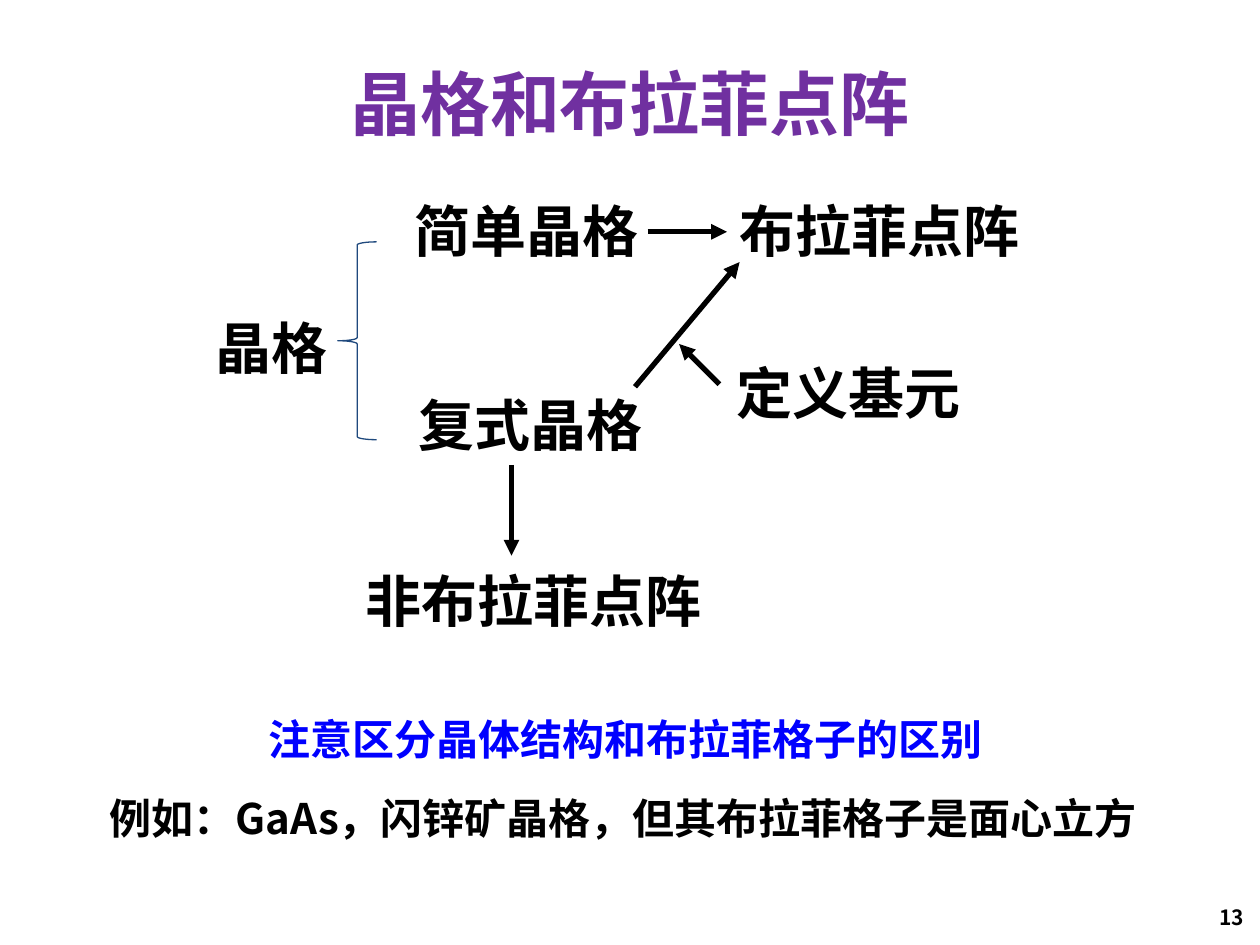
from dataclasses import dataclass

from lxml import etree
from pptx import Presentation
from pptx.dml.color import RGBColor
from pptx.enum.shapes import MSO_CONNECTOR, MSO_SHAPE
from pptx.enum.text import MSO_ANCHOR, PP_ALIGN
from pptx.oxml.ns import qn
from pptx.util import Inches, Pt

STRAIGHT = MSO_CONNECTOR.STRAIGHT
LEFT_BRACE = MSO_SHAPE.LEFT_BRACE
TOP, MIDDLE = MSO_ANCHOR.TOP, MSO_ANCHOR.MIDDLE
LEFT, CENTER, RIGHT = PP_ALIGN.LEFT, PP_ALIGN.CENTER, PP_ALIGN.RIGHT


@dataclass(frozen=True)
class Theme:
    font: str = "Noto Sans CJK SC"
    ink: RGBColor = RGBColor(0x00, 0x00, 0x00)
    heading: RGBColor = RGBColor(0x70, 0x30, 0xA0)
    emphasis: RGBColor = RGBColor(0x00, 0x00, 0xFF)
    brace: RGBColor = RGBColor(0x1F, 0x49, 0x7D)
    title_size: int = 40
    term_size: int = 32
    remark_size: int = 24
    number_size: int = 12
    arrow_width: float = 3
    brace_width: float = 0.75


THEME = Theme()

# Terms of the diagram: text, left, top, width
TERM_HEIGHT = 0.64
TERMS = [
    ("晶格", 1.61, 2.44, 1.1),
    ("简单晶格", 3.19, 1.51, 2),
    ("布拉菲点阵", 5.77, 1.51, 2.45),
    ("复式晶格", 3.22, 3.05, 2),
    ("非布拉菲点阵", 2.8, 4.45, 2.9),
    ("定义基元", 5.75, 2.8, 2.01),
]

# Arrows between the terms: start, tip
ARROWS = [
    ((5.14, 1.84), (5.77, 1.84)),  # simple lattice to Bravais lattice
    ((4.06, 3.69), (4.06, 4.41)),  # compound lattice to non-Bravais lattice
    ((5.71, 3.05), (5.39, 2.73)),  # basis definition to the diagonal
    ((5.04, 3.07), (5.87, 2.08)),  # compound lattice to Bravais lattice
]


def add_text(slide, text, box, size, color=THEME.ink, align=LEFT, anchor=TOP, wrap=True):
    frame = slide.shapes.add_textbox(*map(Inches, box)).text_frame
    frame.word_wrap = wrap
    frame.vertical_anchor = anchor
    paragraph = frame.paragraphs[0]
    paragraph.text = text
    paragraph.alignment = align
    font = paragraph.font
    font.name, font.size, font.bold = THEME.font, Pt(size), True
    font.color.rgb = color
    # Chinese characters take the East Asian typeface
    defaults = paragraph._p.pPr.find(qn("a:defRPr"))
    etree.SubElement(defaults, qn("a:ea"), typeface=THEME.font)


def add_arrow(slide, start, tip):
    arrow = slide.shapes.add_connector(STRAIGHT, *map(Inches, start + tip))
    arrow.line.color.rgb = THEME.ink
    arrow.line.width = Pt(THEME.arrow_width)
    properties = arrow._element.spPr
    etree.SubElement(properties.find(qn("a:ln")), qn("a:tailEnd"), type="triangle")
    etree.SubElement(properties, qn("a:effectLst"))


def add_brace(slide, box):
    brace = slide.shapes.add_shape(LEFT_BRACE, *map(Inches, box))
    brace.shadow.inherit = False
    brace.adjustments[0] = 0.08
    brace.fill.background()
    brace.line.color.rgb = THEME.brace
    brace.line.width = Pt(THEME.brace_width)


def main():
    presentation = Presentation()
    presentation.slide_width, presentation.slide_height = Inches(10), Inches(7.5)
    slide = presentation.slides.add_slide(presentation.slide_layouts[6])

    # Page number and title
    add_text(slide, "13", (7.64, 7.08, 2.33, 0.4), THEME.number_size,
             align=RIGHT, anchor=MIDDLE)
    add_text(slide, "晶格和布拉菲点阵", (0.5, 0.3, 9, 1.02), THEME.title_size,
             THEME.heading, CENTER, MIDDLE)

    # Lattice diagram
    for term, left, top, width in TERMS:
        add_text(slide, term, (left, top, width, TERM_HEIGHT), THEME.term_size, wrap=False)
    add_brace(slide, (2.68, 1.92, 0.31, 1.57))
    for start, tip in ARROWS:
        add_arrow(slide, start, tip)

    # Remark and example
    add_text(slide, "例如：GaAs，闪锌矿晶格，但其布拉菲格子是面心立方",
             (0.77, 6.24, 8.44, 0.51), THEME.remark_size)
    add_text(slide, "注意区分晶体结构和布拉菲格子的区别",
             (2.03, 5.61, 5.93, 0.51), THEME.remark_size, THEME.emphasis, wrap=False)

    presentation.save("out.pptx")


if __name__ == "__main__":
    main()
